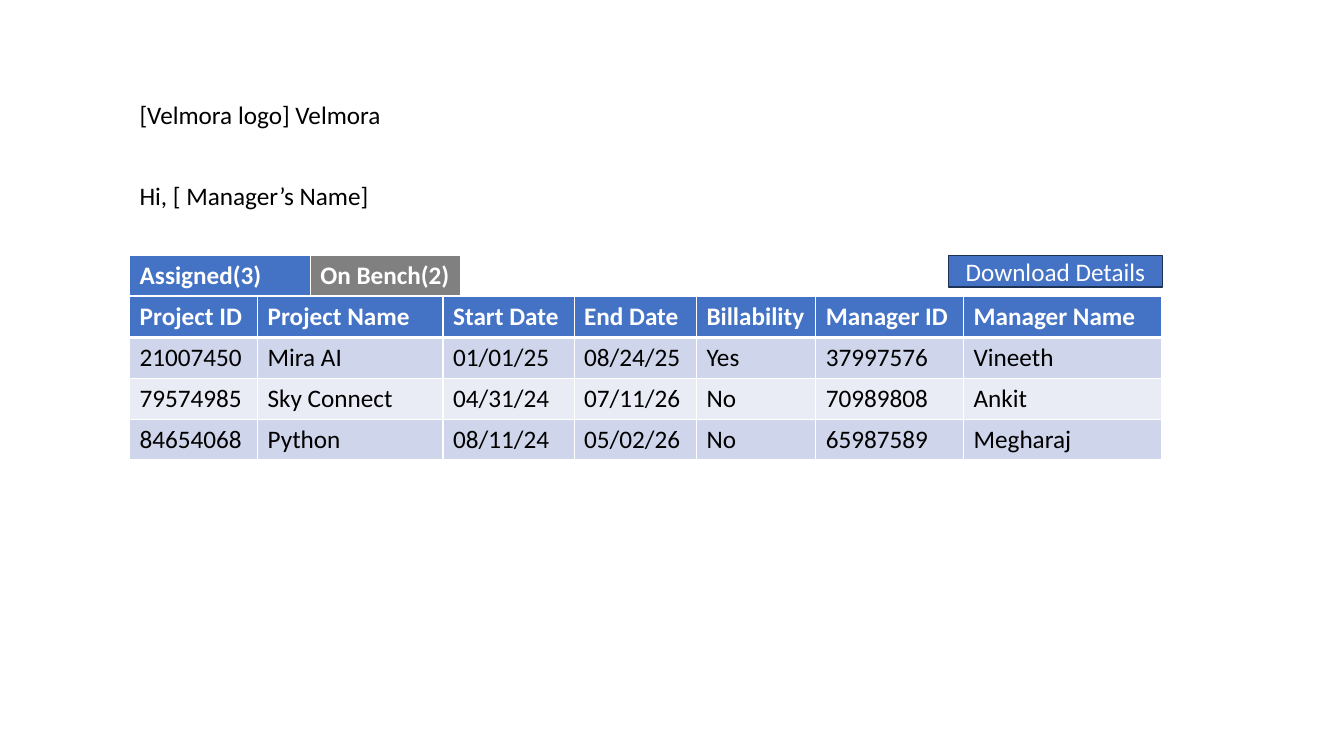
import pptx
import pptx.util
import pptx.dml.color
import pptx.enum.shapes
import pptx.enum.text
import pptx.oxml
import lxml.etree

Pt = pptx.util.Pt
BLUE = "4472C4"
GRAY = "808080"
WHITE = "FFFFFF"
BLACK = "000000"
BANDS = ["CFD5EA", "E9EBF5"]
LEFT = 92.6
ROW = 29.2


def color(code):
    return pptx.dml.color.RGBColor.from_string(code)


class Page:
    font = "Calibri"
    size = 18

    def __init__(self, slide):
        self.slide = slide

    def style(self, frame, code, bold=False):
        for para in frame.paragraphs:
            for run in para.runs:
                run.font.name = self.font
                run.font.size = Pt(self.size)
                run.font.bold = bold
                run.font.color.rgb = color(code)

    def label(self, text, x, y, w, h):
        box = self.slide.shapes.add_textbox(Pt(x), Pt(y), Pt(w), Pt(h))
        frame = box.text_frame
        frame.text = text
        frame.word_wrap = False
        frame.auto_size = pptx.enum.text.MSO_AUTO_SIZE.SHAPE_TO_FIT_TEXT
        self.style(frame, BLACK)

    def button(self, text, x, y, w, h):
        kind = pptx.enum.shapes.MSO_SHAPE.RECTANGLE
        shape = self.slide.shapes.add_shape(kind, Pt(x), Pt(y), Pt(w), Pt(h))
        shape.shadow.inherit = False
        shape.fill.solid()
        shape.fill.fore_color.rgb = color(BLUE)
        shape.line.color.rgb = color("1E3256")
        shape.line.width = Pt(1)
        frame = shape.text_frame
        frame.text = text
        frame.word_wrap = True
        frame.vertical_anchor = pptx.enum.text.MSO_ANCHOR.MIDDLE
        frame.paragraphs[0].alignment = pptx.enum.text.PP_ALIGN.CENTER
        self.style(frame, WHITE)

    def edge(self, cell, side, width):
        name = pptx.oxml.ns.qn
        props = cell._tc.get_or_add_tcPr()
        line = lxml.etree.SubElement(props, name(f"a:ln{side}"), w=str(Pt(width)))
        fill = lxml.etree.SubElement(line, name("a:solidFill"))
        lxml.etree.SubElement(fill, name("a:srgbClr"), val=WHITE)

    def table(self, rows, widths, heads, x, y):
        frame = self.slide.shapes.add_table(
            len(rows), len(widths), Pt(x), Pt(y), Pt(sum(widths)), Pt(ROW * len(rows)))
        grid = frame.table
        for col, width in zip(grid.columns, widths):
            col.width = Pt(width)
        for r, row in enumerate(rows):
            grid.rows[r].height = Pt(ROW)
            for c, text in enumerate(row):
                cell = grid.cell(r, c)
                cell.text = text
                top, base = (3 if r == 1 else 1), (3 if r == 0 else 1)
                for side, width in zip("LRTB", (1, 1, top, base)):
                    self.edge(cell, side, width)
                cell.fill.solid()
                fill = heads[c] if r == 0 else BANDS[(r - 1) % 2]
                cell.fill.fore_color.rgb = color(fill)
                self.style(cell.text_frame, BLACK if r else WHITE, r == 0)


def main():
    deck = pptx.Presentation()
    deck.slide_width = Pt(960)
    deck.slide_height = Pt(540)
    page = Page(deck.slides.add_slide(deck.slide_layouts[6]))

    page.table([["Assigned(3)", "On Bench(2)"]], [129, 107.3], [BLUE, GRAY], LEFT, 182.6)
    jobs = [
        ["Project ID", "Project Name", "Start Date", "End Date",
         "Billability", "Manager ID", "Manager Name"],
        ["21007450", "Mira AI", "01/01/25", "08/24/25", "Yes", "37997576", "Vineeth"],
        ["79574985", "Sky Connect", "04/31/24", "07/11/26", "No", "70989808", "Ankit"],
        ["84654068", "Python", "08/11/24", "05/02/26", "No", "65987589", "Megharaj"],
    ]
    widths = [91.4, 132.5, 93.6, 87.4, 85.2, 105.6, 141.6]
    page.table(jobs, widths, [BLUE] * len(widths), LEFT, 211.8)

    page.label("Hi, [ Manager’s Name]", LEFT, 125.3, 180, 29.1)
    page.label("[Velmora logo] Velmora", LEFT, 67.3, 194.4, 29.1)
    page.button("Download Details", 677.5, 182.6, 152.7, 22.3)

    deck.save("out.pptx")


if __name__ == "__main__":
    main()
